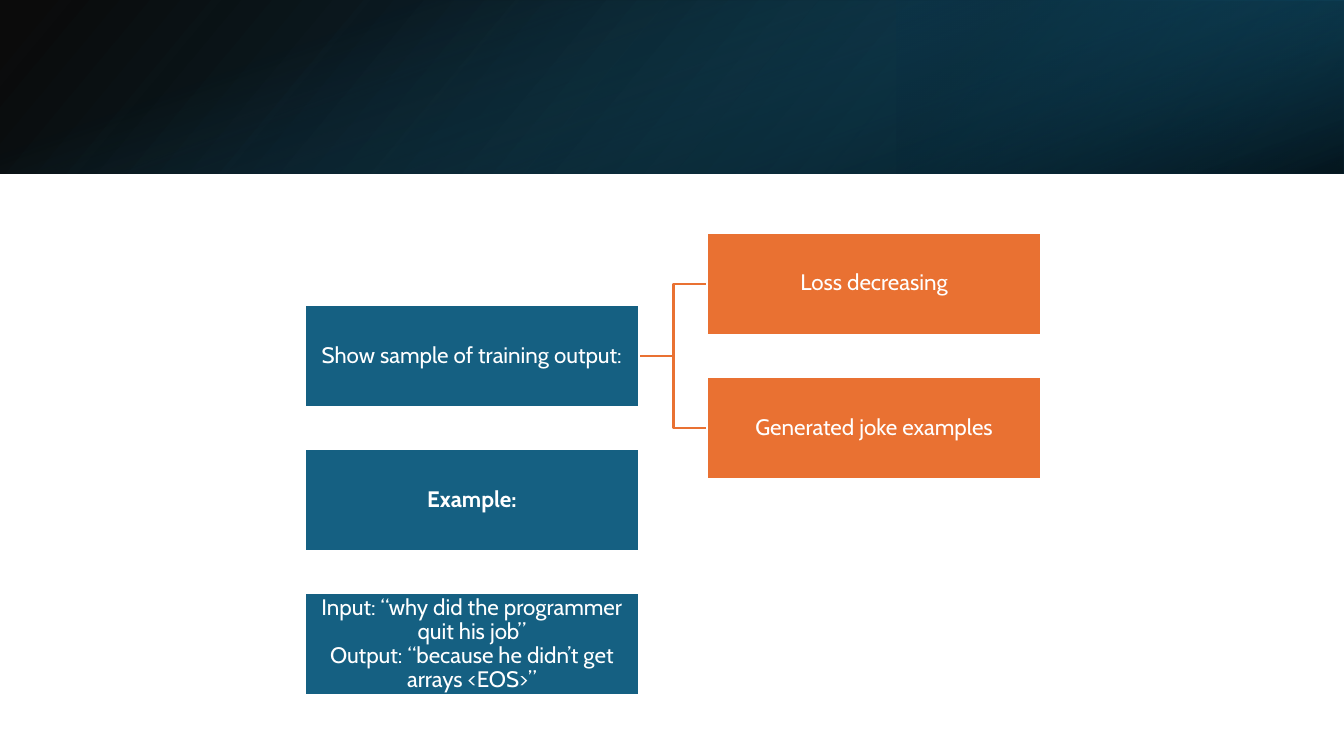
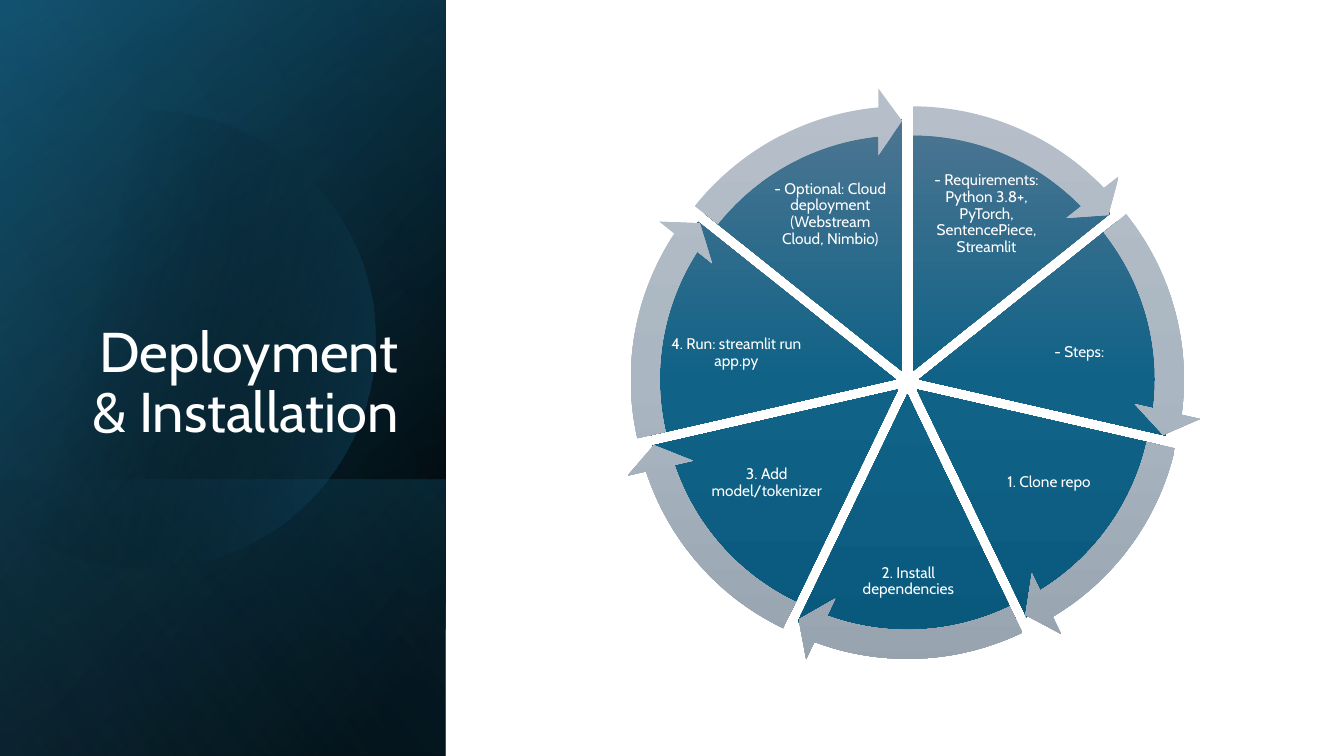
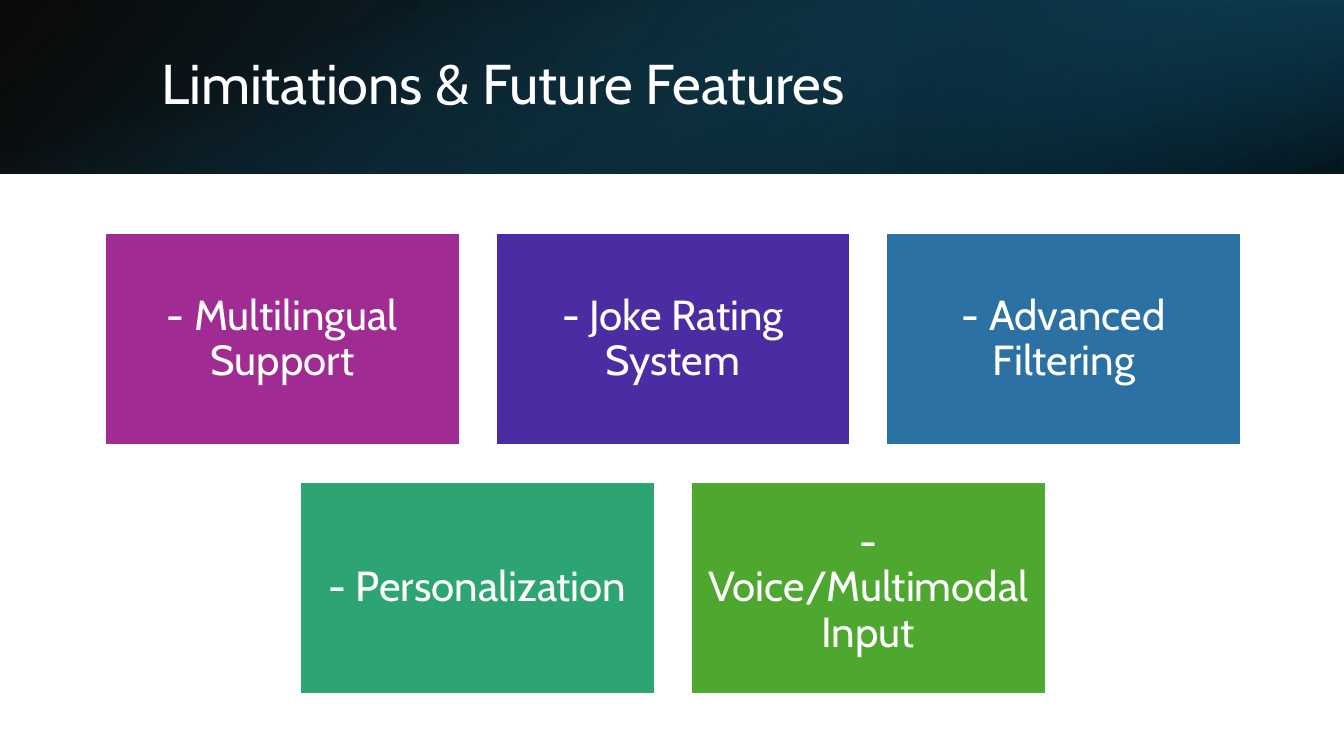
from math import acos, cos, pi, radians, sin

from lxml.etree import SubElement
from pptx import Presentation
from pptx.dml.color import RGBColor
from pptx.enum.shapes import MSO_CONNECTOR, MSO_SHAPE
from pptx.enum.text import MSO_ANCHOR, PP_ALIGN
from pptx.oxml.ns import qn
from pptx.util import Inches, Pt

FONT = "Cabin"
WHITE = RGBColor(0xFF, 0xFF, 0xFF)
BLACK = RGBColor(0x00, 0x00, 0x00)
TEAL = RGBColor(0x15, 0x60, 0x82)
DARK_TEAL = RGBColor(0x10, 0x48, 0x62)
DEEP_TEAL = RGBColor(0x0B, 0x30, 0x41)
SKY = RGBColor(0x46, 0xB1, 0xE1)
ORANGE = RGBColor(0xE9, 0x71, 0x32)
MAGENTA = RGBColor(0xA0, 0x2B, 0x93)
VIOLET = RGBColor(0x4B, 0x2C, 0xA2)
BLUE = RGBColor(0x2C, 0x71, 0xA4)
GREEN = RGBColor(0x2D, 0xA5, 0x73)
LIME = RGBColor(0x4E, 0xA7, 0x2E)

# Gradient stops: position %, colour, opacity %
SLICE_STOPS = [(0, RGBColor(0x4C, 0x75, 0x91), 100), (50, RGBColor(0x10, 0x62, 0x87), 100),
               (100, RGBColor(0x09, 0x59, 0x7D), 100)]
ARROW_STOPS = [(0, RGBColor(0xB6, 0xBF, 0xC9), 100), (50, RGBColor(0xAA, 0xB7, 0xC2), 100),
               (100, RGBColor(0x96, 0xA2, 0xAE), 100)]

# Band layers: left, top, width, height, rotation, flipped, stops, angle
TOP_BAND = [
    (0, 0, 13.33, 1.72, 0, True, [(0, BLACK, 96), (100, DARK_TEAL, 100)], 140),
    (8.89, 0, 4.44, 1.72, 180, True, [(19, DEEP_TEAL, 68), (100, TEAL, 79)], 320),
    (5.8, -5.8, 1.72, 13.33, 90, False, [(23, TEAL, 0), (99, BLACK, 74)], 340),
]
SIDE_BAND = [
    (-1.54, 1.54, 7.5, 4.42, 90, True, [(8, BLACK, 100), (100, DARK_TEAL, 100)], 50),
    (-1.54, 1.54, 7.5, 4.42, 90, True, [(0, BLACK, 0), (99, TEAL, 46)], 30),
    (0.84, 3.92, 2.74, 4.42, 90, True, [(2, TEAL, 29), (100, BLACK, 30)], 130),
    (-1.54, 1.54, 7.5, 4.42, 90, True, [(0, BLACK, 0), (99, SKY, 11)], 120),
]


def fill_gradient(shape, stops, angle):
    shape.shadow.inherit = False
    shape.line.fill.background()
    shape.fill.gradient()
    gradient = shape._element.spPr.find(qn("a:gradFill"))
    gradient.clear()
    stop_list = SubElement(gradient, qn("a:gsLst"))
    for position, colour, opacity in stops:
        stop = SubElement(stop_list, qn("a:gs"), pos=str(position * 1000))
        tint = SubElement(stop, qn("a:srgbClr"), val=str(colour))
        if opacity < 100:
            SubElement(tint, qn("a:alpha"), val=str(opacity * 1000))
    SubElement(gradient, qn("a:lin"), ang=str(angle * 60000), scaled="0")


def write(shape, text, size, align=PP_ALIGN.CENTER, anchor=MSO_ANCHOR.MIDDLE,
          inset=(0.1, 0.05), bold=False):
    frame = shape.text_frame
    frame.text = text
    frame.word_wrap = True
    frame.vertical_anchor = anchor
    frame.margin_left = frame.margin_right = Inches(inset[0])
    frame.margin_top = frame.margin_bottom = Inches(inset[1])
    for paragraph in frame.paragraphs:
        paragraph.alignment = align
        paragraph.line_spacing = 0.9
        for run in paragraph.runs:
            run.font.name = FONT
            run.font.size = Pt(size)
            run.font.bold = bold
            run.font.color.rgb = WHITE


prs = Presentation()
prs.slide_width = Inches(13.33)
prs.slide_height = Inches(7.5)
training, deployment, limitations = [
    prs.slides.add_slide(prs.slide_layouts[6]) for _ in range(3)]

# Bands behind the titles
for slide, band in ((training, TOP_BAND), (deployment, SIDE_BAND), (limitations, TOP_BAND)):
    for left, top, width, height, rotation, flipped, stops, angle in band:
        layer = slide.shapes.add_shape(MSO_SHAPE.RECTANGLE, Inches(left), Inches(top),
                                       Inches(width), Inches(height))
        fill_gradient(layer, stops, angle)
        layer.rotation = rotation
        if flipped:
            layer._element.spPr.find(qn("a:xfrm")).set("flipH", "1")

# Faint disc on the side band, cut at the slide edge
disc_x, disc_y, disc_radius = 1.45, 3.37, 2.27
edge_angle = acos(-disc_x / disc_radius)
rim = []
for step in range(81):
    turn = edge_angle * (step / 40 - 1)
    rim.append((Inches(disc_x + disc_radius * cos(turn)),
                Inches(disc_y + disc_radius * sin(turn))))
outline = deployment.shapes.build_freeform(*rim[0])
outline.add_line_segments(rim[1:])
fill_gradient(outline.convert_to_shape(), [(29, BLACK, 0), (100, TEAL, 43)], 14)

# Titles
for slide, title, box, align, anchor in (
    (deployment, "Deployment & Installation", (0.64, 1.84, 3.41, 2.62),
     PP_ALIGN.RIGHT, MSO_ANCHOR.BOTTOM),
    (limitations, "Limitations & Future Features", (1.5, 0.38, 10.98, 0.96),
     PP_ALIGN.LEFT, MSO_ANCHOR.MIDDLE),
):
    heading = slide.shapes.add_textbox(*[Inches(length) for length in box])
    write(heading, title, 40, align, anchor)

# Brackets from the training output to its two parts
for part_y in (4.25, 2.82):
    bracket = training.shapes.add_connector(
        MSO_CONNECTOR.ELBOW, Inches(6.35), Inches(3.53), Inches(7.01), Inches(part_y))
    bracket.line.color.rgb = ORANGE
    bracket.line.width = Pt(1.5)
    SubElement(bracket._element.spPr, qn("a:effectLst"))

# Cards: slide, left, top, width, height, colour, text, size, inset, bold
row_top, row_step = 2.31, 1.43
cards = [
    (training, left, row_top + row * row_step, 3.32, 1.01, colour, text, 16, 0.01, bold)
    for left, row, colour, text, bold in (
        (3.02, 0.5, TEAL, "Show sample of training output:", False),
        (7.01, 0, ORANGE, "Loss decreasing", False),
        (7.01, 1, ORANGE, "Generated joke examples", False),
        (3.02, 1.5, TEAL, "Example:", True),
        (3.02, 2.5, TEAL, "Input: “why did the programmer quit his job”\v"
                          "Output: “because he didn’t get arrays <EOS>”", False),
    )
]
cards += [
    (limitations, 1.04 + column * 3.875, row_top + row * 2.47, 3.52, 2.11, colour, text,
     30, 0.12, False)
    for column, row, colour, text in (
        (0, 0, MAGENTA, "- Multilingual Support"),
        (1, 0, VIOLET, "- Joke Rating System"),
        (2, 0, BLUE, "- Advanced Filtering"),
        (0.5, 1, GREEN, "- Personalization"),
        (1.5, 1, LIME, "- Voice/Multimodal Input"),
    )
]
for slide, left, top, width, height, colour, text, size, inset, bold in cards:
    card = slide.shapes.add_shape(MSO_SHAPE.RECTANGLE, Inches(left), Inches(top),
                                  Inches(width), Inches(height))
    card.shadow.inherit = False
    card.fill.solid()
    card.fill.fore_color.rgb = colour
    card.line.color.rgb = WHITE
    card.line.width = Pt(1.5)
    write(card, text, size, inset=(inset, inset), bold=bold)

# Deployment cycle: label and its box
steps = [
    ("- Requirements: Python 3.8+, PyTorch, SentencePiece, Streamlit", (9.19, 1.65, 1.19, 0.95)),
    ("- Steps:", (10.02, 3.08, 1.37, 0.84)),
    ("1. Clone repo", (9.81, 4.33, 1.19, 0.92)),
    ("2. Install dependencies", (8.43, 5.35, 1.16, 0.84)),
    ("3. Add model/tokenizer", (7.01, 4.33, 1.19, 0.92)),
    ("4. Run: streamlit run app.py", (6.62, 3.08, 1.37, 0.84)),
    ("- Optional: Cloud deployment (Webstream Cloud, Nimbio)", (7.64, 1.65, 1.19, 0.95)),
]
wheel_x, wheel_y, spread = 9.0, 3.79, 0.12
slice_size, arrow_size = 5.01, 5.63
sweep = 360 / len(steps)
unit = 0.6  # adjustment value of one degree
head = 3.275  # angle taken by an arrowhead, in adjustment values

wheel = []
for index in range(len(steps)):
    start = 270 + index * sweep
    middle = radians(start + sweep / 2)
    wheel.append((wheel_x + spread * cos(middle), wheel_y + spread * sin(middle),
                  start % 360 * unit, (start + sweep) % 360 * unit))

for kind, size, stops in ((MSO_SHAPE.PIE, slice_size, SLICE_STOPS),
                          (MSO_SHAPE.CIRCULAR_ARROW, arrow_size, ARROW_STOPS)):
    for x, y, start, end in wheel:
        piece = deployment.shapes.add_shape(kind, Inches(x - size / 2), Inches(y - size / 2),
                                            Inches(size), Inches(size))
        if kind == MSO_SHAPE.PIE:
            settings = (start, end)
        else:
            settings = (0.051, head, end - head, start, 0.059)
        for number, setting in enumerate(settings):
            piece.adjustments[number] = setting
        fill_gradient(piece, stops, 90)

for text, box in steps:
    label = deployment.shapes.add_textbox(*[Inches(length) for length in box])
    write(label, text, 11, inset=(0.02, 0.02))

prs.save("out.pptx")
